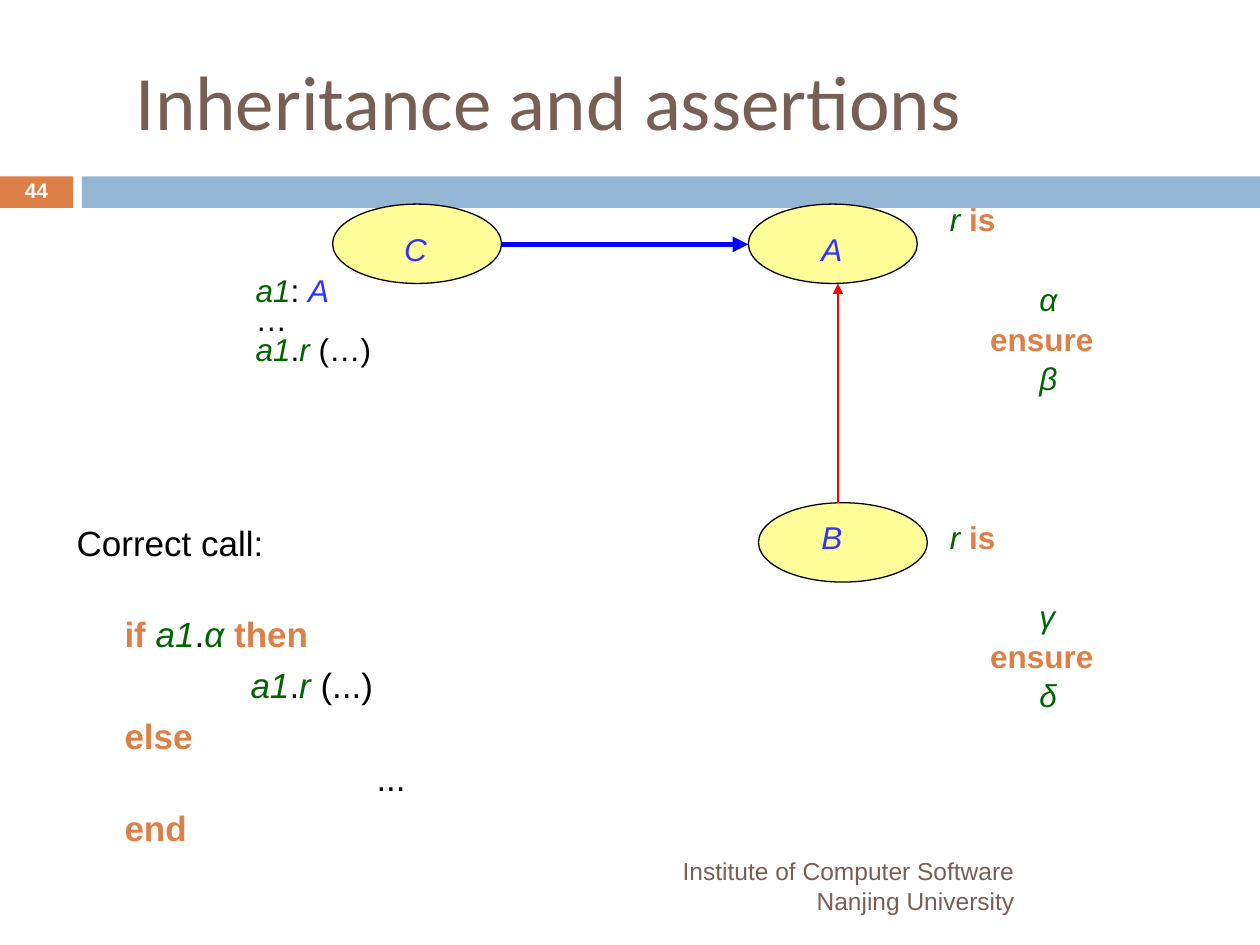
"""Build the slide on inheritance and assertions."""
from lxml.etree import SubElement
from pptx import Presentation
from pptx.dml.color import RGBColor
from pptx.enum.shapes import MSO_CONNECTOR, MSO_SHAPE
from pptx.enum.text import MSO_ANCHOR, PP_ALIGN
from pptx.oxml.ns import qn
from pptx.util import Inches, Pt

ORANGE = RGBColor(0xDD, 0x80, 0x47)
STEEL = RGBColor(0x94, 0xB6, 0xD2)
BROWN = RGBColor(0x77, 0x5F, 0x55)
YELLOW = RGBColor(0xFF, 0xFF, 0x99)
GREEN = RGBColor(0x00, 0x64, 0x00)
INDIGO = RGBColor(0x33, 0x33, 0xFF)
BLUE = RGBColor(0x00, 0x00, 0xFF)
RED = RGBColor(0xFF, 0x00, 0x00)
BLACK = RGBColor(0x00, 0x00, 0x00)
WHITE = RGBColor(0xFF, 0xFF, 0xFF)

STYLES = {
    "title": (BROWN, {"name": "Calibri"}),
    "footer": (BROWN, {}),
    "number": (WHITE, {"bold": True}),
    "plain": (BLACK, {}),
    "keyword": (ORANGE, {"bold": True}),
    "feature": (GREEN, {"italic": True}),
    "class": (INDIGO, {"italic": True}),
}

deck = Presentation()
deck.slide_width, deck.slide_height = Inches(10), Inches(7.5)
page = deck.slides.add_slide(deck.slide_layouts[6])


def write(place, lines, size=18, anchor=MSO_ANCHOR.TOP, formats=()):
    """Add a text box; each line is a list of (text, style) spans."""
    frame = page.shapes.add_textbox(*map(Inches, place)).text_frame
    frame.word_wrap = True
    frame.vertical_anchor = anchor
    for index, spans in enumerate(lines):
        para = frame.paragraphs[0] if index == 0 else frame.add_paragraph()
        for key, value in dict(formats).items():
            setattr(para, key, value)
        for text, style in spans:
            span = para.add_run()
            span.text = text
            color, values = STYLES[style]
            for key, value in {"name": "Arial", "size": Pt(size), **values}.items():
                setattr(span.font, key, value)
            span.font.color.rgb = color
    return frame


def draw(kind, place, fill):
    """Add a filled preset shape without outline or shadow."""
    shape = page.shapes.add_shape(kind, *map(Inches, place))
    shape.shadow.inherit = False
    shape.fill.solid()
    shape.fill.fore_color.rgb = fill
    shape.line.fill.background()
    return shape


draw(MSO_SHAPE.RECTANGLE, (0, 1.4, 0.58, 0.25), ORANGE)
draw(MSO_SHAPE.RECTANGLE, (0.65, 1.4, 9.35, 0.25), STEEL)

write((0.98, 0.25, 8.6, 1.08), [[("Inheritance and assertions", "title")]], 44, MSO_ANCHOR.MIDDLE)
write((0.67, 6.83, 7.48, 0.4),
      [[("Institute of Computer Software", "footer")], [("Nanjing University", "footer")]],
      14, MSO_ANCHOR.MIDDLE, {"alignment": PP_ALIGN.RIGHT})
write((0, 1.39, 0.58, 0.27), [[("44", "number")]], 12, MSO_ANCHOR.MIDDLE,
      {"alignment": PP_ALIGN.CENTER, "line_spacing": 0.8})

call = [("a1", "feature"), (".", "plain")]
code = [
    (0, 0, [("Correct call:", "plain")]),
    (0.38, 28, [("if ", "keyword"), *call, ("α ", "feature"), ("then", "keyword")]),
    (1.38, 5, [*call, ("r", "feature"), (" (...)", "plain")]),
    (0.38, 5, [("else", "keyword")]),
    (2.38, 0, [("...", "plain")]),
    (0.38, 5, [("end", "keyword")]),
]
body = write((0.51, 4.09, 9.21, 2.89), [spans for _, _, spans in code], 20)
for para, (indent, before, _) in zip(body.paragraphs, code):
    para.space_before = Pt(before)
    para._p.get_or_add_pPr().set("marL", str(Inches(indent)))

for left, top in ((2.64, 1.62), (5.94, 1.62), (6.02, 3.99)):
    oval = draw(MSO_SHAPE.OVAL, (left, top, 1.34, 0.63), YELLOW)
    oval.line.color.rgb = BLACK
    oval.line.width = Pt(0.75)

arrows = [((3.98, 1.94, 5.94, 1.94), BLUE, 3), ((6.65, 3.99, 6.65, 2.25), RED, 1.5)]
for ends, color, width in arrows:
    arrow = page.shapes.add_connector(MSO_CONNECTOR.STRAIGHT, *map(Inches, ends))
    arrow.line.color.rgb = color
    arrow.line.width = Pt(width)
    SubElement(arrow.line._get_or_add_ln(), qn("a:tailEnd"), type="triangle")
    SubElement(arrow._element.spPr, qn("a:effectLst"))

for top, before, after in ((1.54, "α", "β"), (4.06, "γ", "δ")):
    write((7.44, top, 1.26, 0.4), [[("r ", "feature"), ("is", "keyword")]])
    write((8.15, top + 0.63, 0.55, 0.4), [[(before, "feature")]])
    write((7.76, top + 0.95, 1.1, 0.4), [[("ensure", "keyword")]])
    write((8.15, top + 1.26, 0.55, 0.4), [[(after, "feature")]])

for name, left, top in (("C", 3.11, 1.78), ("A", 6.42, 1.78), ("B", 6.42, 4.06)):
    write((left, top, 0.71, 0.4), [[(name, "class")]])

write((1.93, 2.1, 1.5, 0.4), [[("a1", "feature"), (": ", "plain"), ("A", "class")]])
write((1.93, 2.57, 1.42, 0.4), [[*call, ("r ", "feature"), ("(…)", "plain")]])
write((1.93, 2.33, 1.02, 0.4), [[("…", "plain")]])

deck.save("out.pptx")
